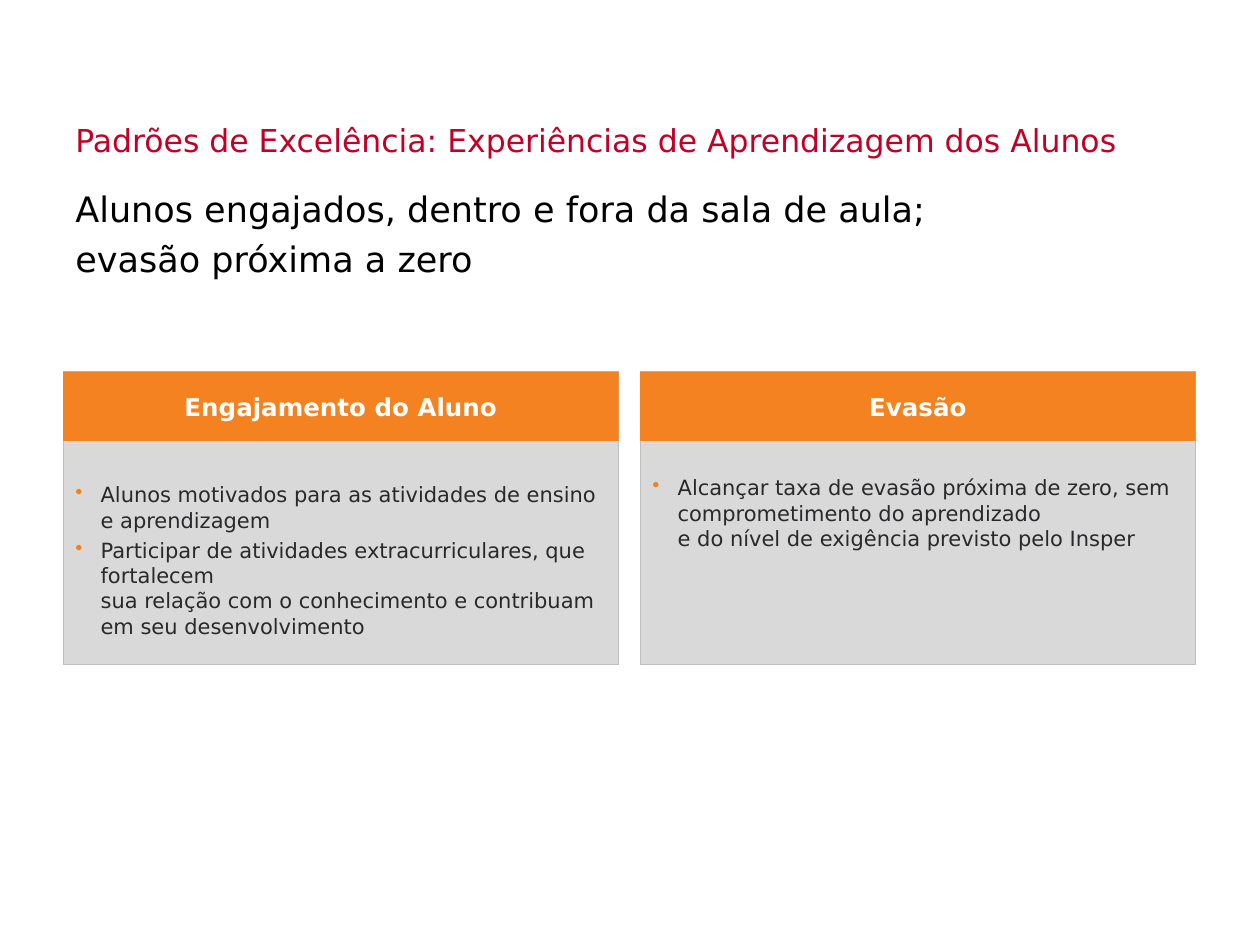
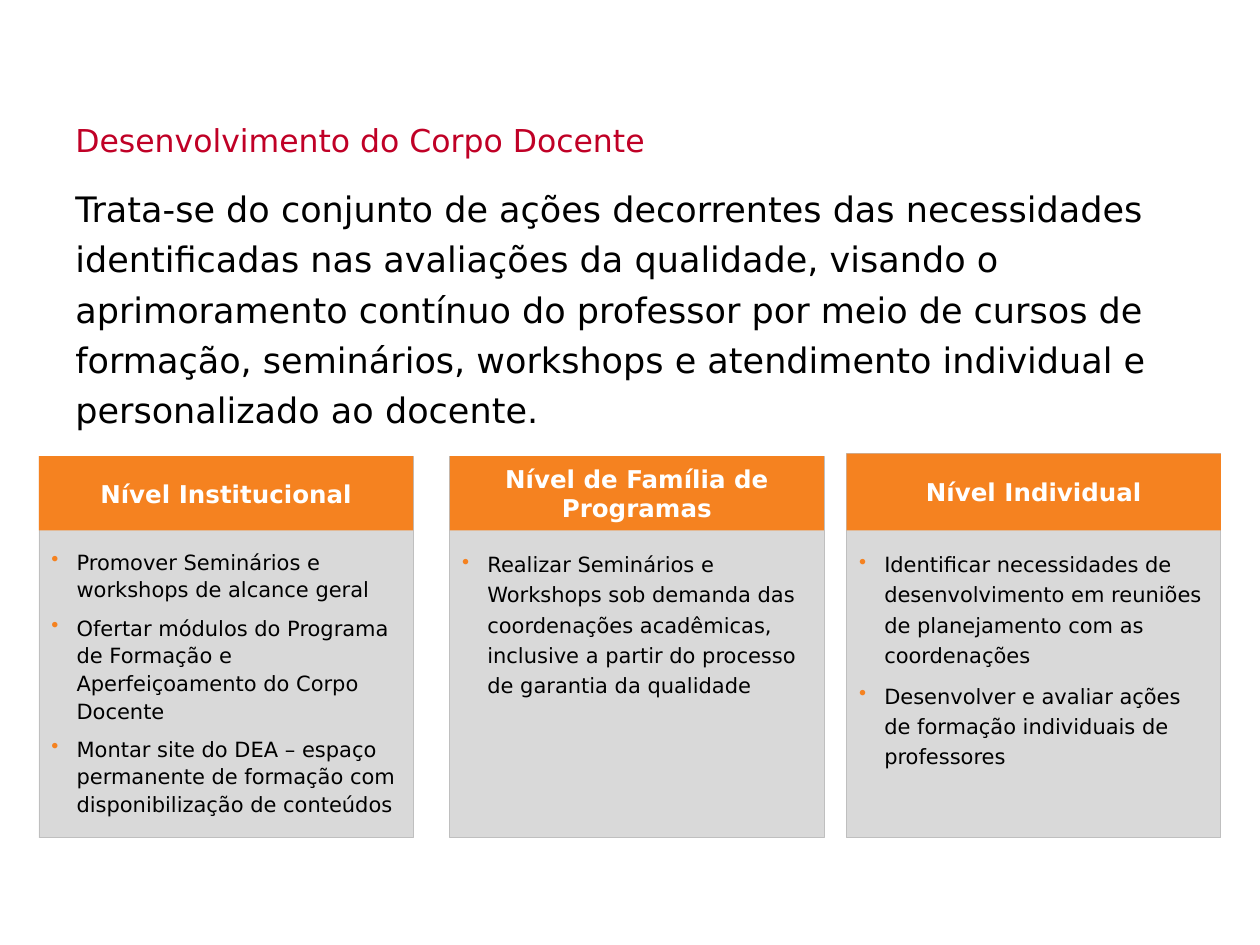
from copy import deepcopy

from lxml import etree
from pptx import Presentation
from pptx.dml.color import RGBColor
from pptx.enum import shapes, text
from pptx.oxml import ns
from pptx.util import Inches, Pt

FONT = "DejaVu Sans"
RED = RGBColor(0xC0, 0x00, 0x26)
ORANGE = RGBColor(0xF5, 0x82, 0x20)
PANEL = RGBColor(0xD9, 0xD9, 0xD9)
EDGE = RGBColor(0xBF, 0xBF, 0xBF)
DARK = RGBColor(0x29, 0x28, 0x2A)
BLACK = RGBColor(0, 0, 0)
WHITE = RGBColor(255, 255, 255)
TOP, MID = text.MSO_ANCHOR.TOP, text.MSO_ANCHOR.MIDDLE
LEFT, CENTER = text.PP_ALIGN.LEFT, text.PP_ALIGN.CENTER


def add_dot(para):
    """Give a paragraph a hanging orange bullet."""
    props = para._p.get_or_add_pPr()
    props.set("marL", str(Inches(0.2)))
    props.set("indent", str(-Inches(0.2)))
    color = etree.SubElement(props, ns.qn("a:buClr"))
    etree.SubElement(color, ns.qn("a:srgbClr"), val=str(ORANGE))
    etree.SubElement(props, ns.qn("a:buChar"), char="•")


def write(shape, *lines, size, color, bold=False, align=LEFT, anchor=TOP,
          lead=None, gap=0, dots=False):
    """Fill a shape with one formatted paragraph per line."""
    frame = shape.text_frame
    frame.word_wrap = True
    frame.vertical_anchor = anchor
    for i, line in enumerate(lines):
        para = frame.add_paragraph() if i else frame.paragraphs[0]
        para.text = line
        if dots:
            add_dot(para)
        para.alignment = align
        if lead:
            para.line_spacing = lead
        if i:
            para.space_before = Pt(gap)
        for run in para.runs:
            font = run.font
            font.name, font.size, font.bold = FONT, Pt(size), bold
            font.color.rgb = color
        for stop in para._p.findall(ns.qn("a:br")):
            stop.append(deepcopy(para.runs[0].font._element))


def add_text(slide, box, *lines, **style):
    """Add a text box with formatted lines."""
    write(slide.shapes.add_textbox(*map(Inches, box)), *lines, **style)


def add_rect(slide, box, fill, edge=None):
    """Add a flat rectangle, with an edge line if a colour is given."""
    rect = slide.shapes.add_shape(shapes.MSO_SHAPE.RECTANGLE, *map(Inches, box))
    rect.shadow.inherit = False
    rect.fill.solid()
    rect.fill.fore_color.rgb = fill
    if edge is None:
        rect.line.fill.background()
    else:
        rect.line.color.rgb = edge
        rect.line.width = Pt(0.5)
    return rect


def add_card(slide, box, head, label, body, items, **style):
    """Add a panel with an orange head and bullets; body is (offset, height)."""
    x, y, w, h = box
    add_rect(slide, box, PANEL, EDGE)
    write(add_rect(slide, (x, y, w, head), ORANGE), label, size=14,
          color=WHITE, bold=True, align=CENTER, anchor=MID)
    drop, tall = body
    add_text(slide, (x, y + drop, w, tall), *items, size=12, dots=True, **style)


def add_page(deck, title, lead):
    """Add a blank slide with its title and lead text."""
    slide = deck.slides.add_slide(deck.slide_layouts[6])
    add_text(slide, (0.5, 0.85, 9, 0.68), title, size=18, color=RED, lead=1.2)
    add_text(slide, (0.5, 1.37, 9, 0.62), lead, size=20, color=BLACK, lead=1.2)
    return slide


def add_goals(deck):
    """Build the slide on student engagement and dropout."""
    slide = add_page(
        deck, "Padrões de Excelência: Experiências de Aprendizagem dos Alunos",
        "Alunos engajados, dentro e fora da sala de aula;\vevasão próxima a zero")
    cards = [
        ("Engajamento do Aluno", 1.45, MID, [
            "Alunos motivados para as atividades de ensino e aprendizagem",
            "Participar de atividades extracurriculares, que fortalecem\v"
            "sua relação com o conhecimento e contribuam em seu desenvolvimento"]),
        ("Evasão", 0.88, TOP, [
            "Alcançar taxa de evasão próxima de zero, sem comprometimento "
            "do aprendizado\ve do nível de exigência previsto pelo Insper"]),
    ]
    for i, (label, tall, anchor, items) in enumerate(cards):
        add_card(slide, (0.5 + 4.58 * i, 2.95, 4.41, 2.32), 0.55, label,
                 (0.77, tall), items, color=DARK, anchor=anchor, gap=3)


def add_levels(deck):
    """Build the slide on the three levels of faculty development."""
    slide = add_page(
        deck, "Desenvolvimento do Corpo Docente",
        "Trata-se do conjunto de ações decorrentes das necessidades "
        "identificadas nas avaliações da qualidade, visando o aprimoramento "
        "contínuo do professor por meio de cursos de formação, seminários, "
        "workshops e atendimento individual e personalizado ao docente.")
    cards = [
        (0.31, 3.62, "Nível Institucional", 2.27, 1.1, [
            "Promover Seminários e workshops de alcance geral",
            "Ofertar módulos do Programa de Formação e Aperfeiçoamento "
            "do Corpo Docente",
            "Montar site do DEA – espaço permanente de formação com "
            "disponibilização de conteúdos"]),
        (3.57, 3.62, "Nível de Família de Programas", 1.31, 1.2, [
            "Realizar Seminários e Workshops sob demanda das coordenações "
            "acadêmicas, inclusive a partir do processo de garantia da "
            "qualidade"]),
        (6.72, 3.6, "Nível Individual", 1.87, 1.2, [
            "Identificar necessidades de desenvolvimento em reuniões de "
            "planejamento com as coordenações",
            "Desenvolver e avaliar ações de formação individuais de "
            "professores"]),
    ]
    for x, y, label, tall, lead, items in cards:
        add_card(slide, (x, y, 2.97, 6.65 - y), 4.21 - y, label,
                 (4.29 - y, tall), items, color=BLACK, lead=lead, gap=6)


def main():
    """Build and save the deck."""
    deck = Presentation()
    deck.slide_width, deck.slide_height = Inches(10), Inches(7.5)
    add_goals(deck)
    add_levels(deck)
    deck.save("out.pptx")


if __name__ == "__main__":
    main()
